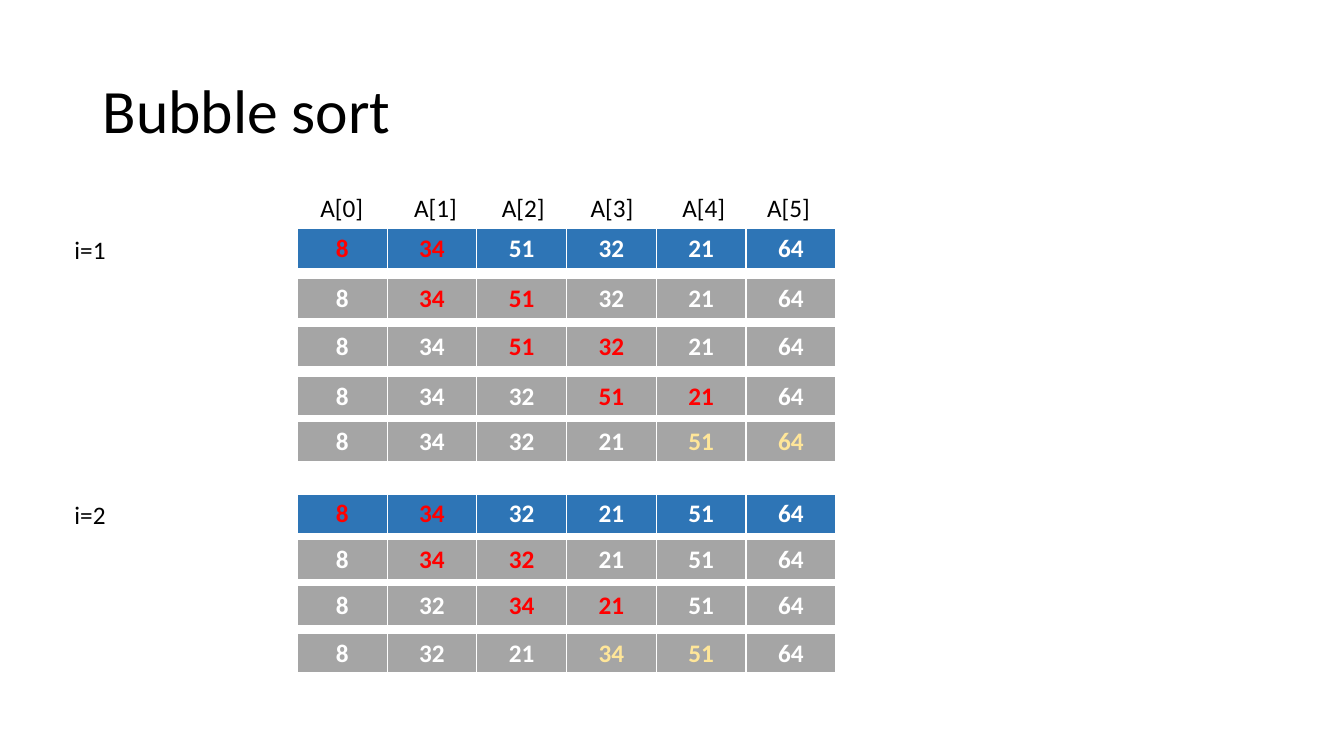
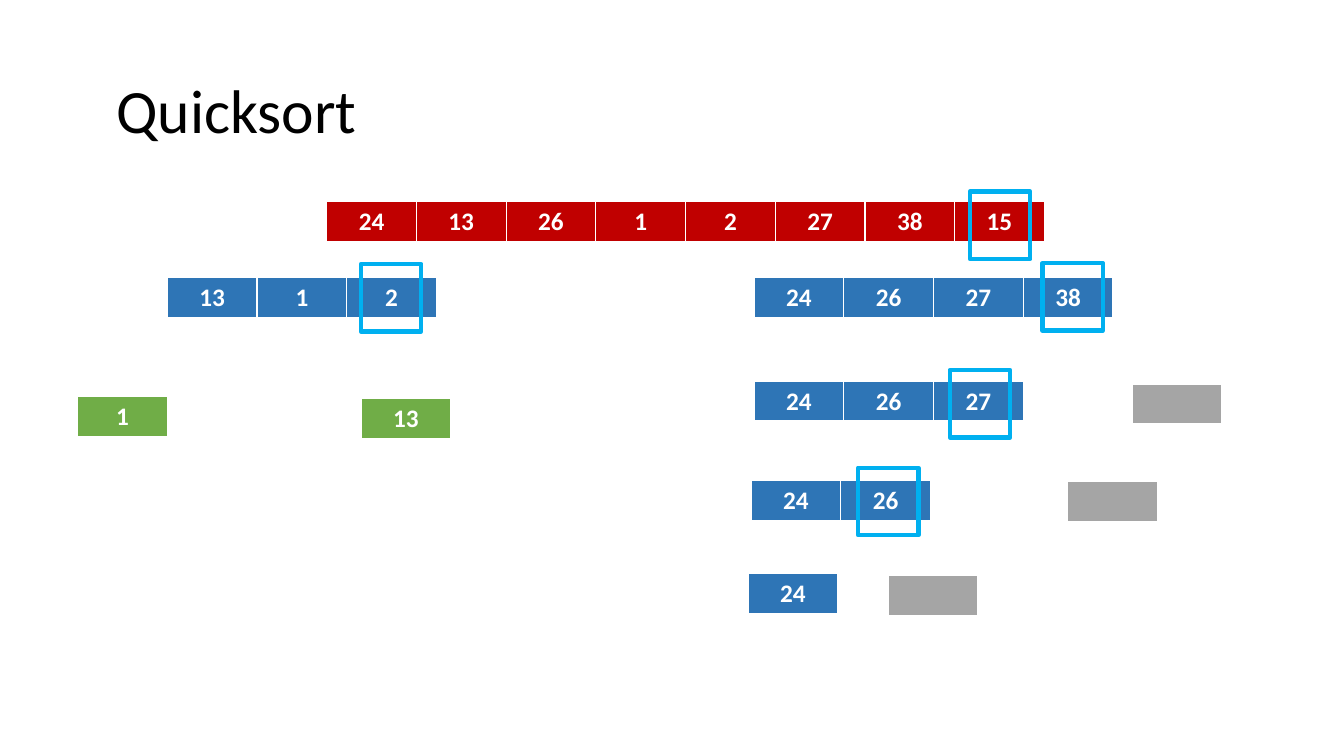
from lxml.etree import SubElement
from pptx import Presentation
from pptx.dml.color import RGBColor
from pptx.enum.shapes import MSO_SHAPE
from pptx.enum.text import MSO_ANCHOR, MSO_AUTO_SIZE, PP_ALIGN
from pptx.oxml.ns import qn
from pptx.util import Pt

PX = 9144  # EMU per px, 100 px to the inch
FONT = "Calibri"
BLACK, WHITE, GRAY = "000000", "FFFFFF", "A5A5A5"
BLUE, DARK_RED, GREEN = "2E75B6", "C00000", "70AD47"
RED, YELLOW, CYAN = "FF0000", "FFE699", "00B0F0"
CELL_W, CELL_H = 89, 41
BORDERS = [("a:lnL", 1), ("a:lnR", 1), ("a:lnT", 1), ("a:lnB", 3)]
color = RGBColor.from_string


def add_text(slide, text, x, y, w, h, size=18):
    box = slide.shapes.add_textbox(x * PX, y * PX, w * PX, h * PX)
    paragraph = box.text_frame.paragraphs[0]
    paragraph.text = text
    paragraph.font.name = FONT
    paragraph.font.size = Pt(size)
    paragraph.font.color.rgb = color(BLACK)
    return box.text_frame


def add_array(slide, x, y, values, fill, marked=(), mark=WHITE):
    """Draw an array as a one-row table; marked lists the indices in the mark colour."""
    count = len(values)
    table = slide.shapes.add_table(
        1, count, x * PX, y * PX, count * CELL_W * PX, CELL_H * PX).table
    for i, value in enumerate(values):
        cell = table.cell(0, i)
        properties = cell._tc.get_or_add_tcPr()
        for side, width in BORDERS:
            line = SubElement(properties, qn(side), w=str(Pt(width)))
            SubElement(SubElement(line, qn("a:solidFill")), qn("a:srgbClr"), val=WHITE)
        cell.fill.solid()
        cell.fill.fore_color.rgb = color(fill)
        paragraph = cell.text_frame.paragraphs[0]
        paragraph.text = str(value)
        paragraph.alignment = PP_ALIGN.CENTER
        paragraph.font.name = FONT
        paragraph.font.size = Pt(18)
        paragraph.font.bold = True
        paragraph.font.color.rgb = color(mark if i in marked else WHITE)


prs = Presentation()
prs.slide_width, prs.slide_height = 1333 * PX, 750 * PX

slides = []
for title in ["Bubble sort", " Quicksort"]:
    slide = prs.slides.add_slide(prs.slide_layouts[6])
    frame = add_text(slide, title, 92, 40, 1150, 145, size=44)
    frame.word_wrap = True
    frame.vertical_anchor = MSO_ANCHOR.MIDDLE
    frame.paragraphs[0].line_spacing = 0.9
    slides.append(slide)
bubble, quick = slides

# Bubble sort: each row shows the pair that is compared next
labels = [(f"A[{i}]", x, 186, 63) for i, x in enumerate([308, 401, 488, 576, 667, 751])]
labels += [("i=1", 64, 228, 51), ("i=2", 64, 490, 51)]
for text, x, y, w in labels:
    frame = add_text(bubble, text, x, y, w, 40)
    frame.word_wrap = False
    frame.auto_size = MSO_AUTO_SIZE.SHAPE_TO_FIT_TEXT

numbers = [8, 34, 51, 32, 21, 64]
for row_tops in [(227, 276, 324, 373, 418), (490, 535, 581, 628)]:
    for j, y in enumerate(row_tops):
        add_array(bubble, 295, y, numbers, BLUE if j == 0 else GRAY,
                  marked=(j, j + 1), mark=YELLOW if y == row_tops[-1] else RED)
        numbers[j:j + 2] = sorted(numbers[j:j + 2])

# Quicksort: partitions, with a frame around each pivot
partitions = [
    (324, 200, [24, 13, 26, 1, 2, 27, 38, 15], DARK_RED),
    (166, 275, [13, 1, 2], BLUE),
    (748, 275, [24, 26, 27, 38], BLUE),
    (77, 393, [1], GREEN),
    (358, 395, [13], GREEN),
    (748, 378, [24, 26, 27], BLUE),
    (1123, 381, [""], GRAY),
    (745, 477, [24, 26], BLUE),
    (1059, 478, [""], GRAY),
    (742, 569, [24], BLUE),
    (881, 571, [""], GRAY),
]
for x, y, values, fill in partitions:
    add_array(quick, x, y, values, fill)

for x, y in [(962, 190), (358, 262), (1034, 261), (942, 367), (851, 464)]:
    pivot = quick.shapes.add_shape(MSO_SHAPE.RECTANGLE, x * PX, y * PX, 60 * PX, 67 * PX)
    pivot.shadow.inherit = False
    pivot.fill.background()
    pivot.line.color.rgb = color(CYAN)
    pivot.line.width = Pt(3)

prs.save("out.pptx")
